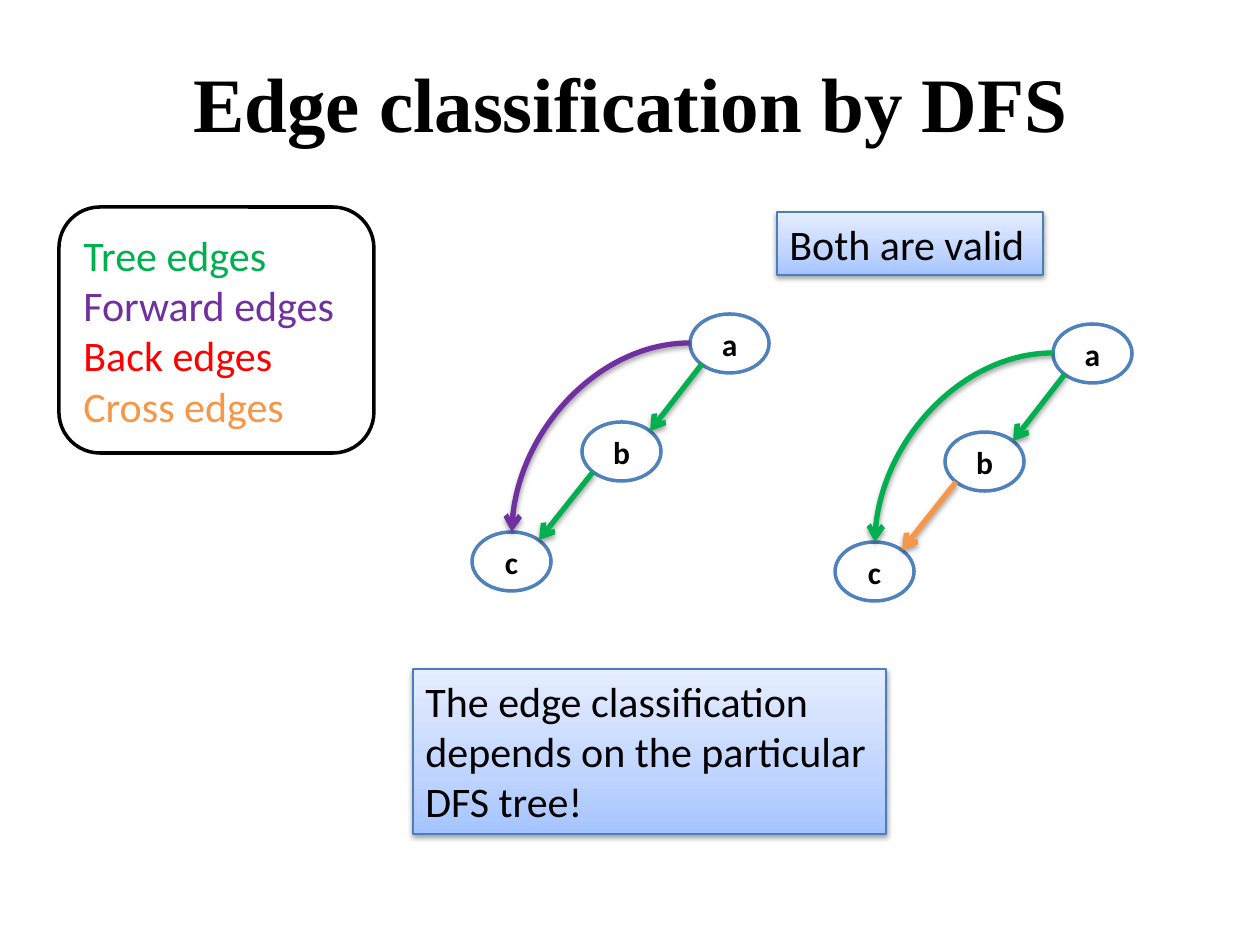
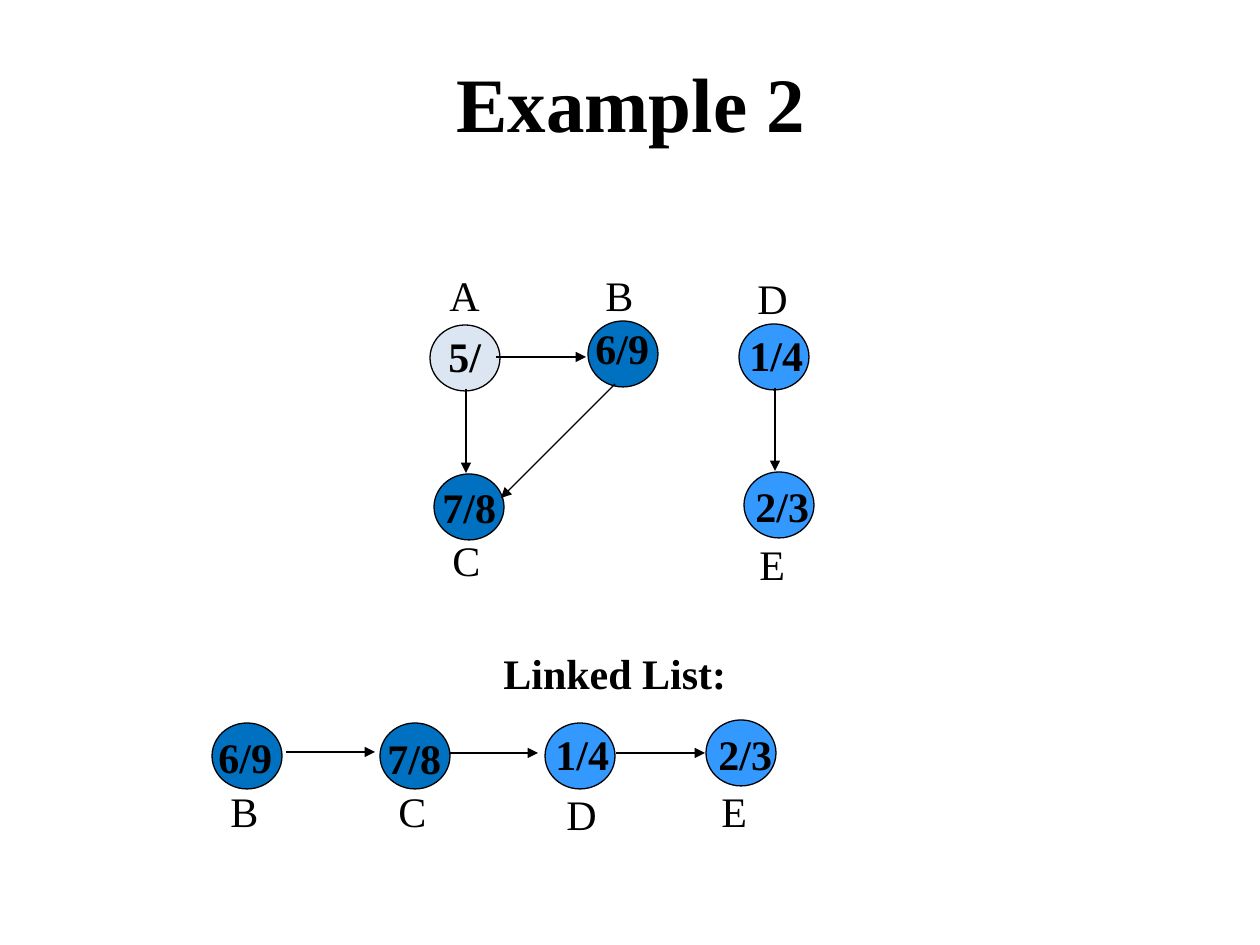
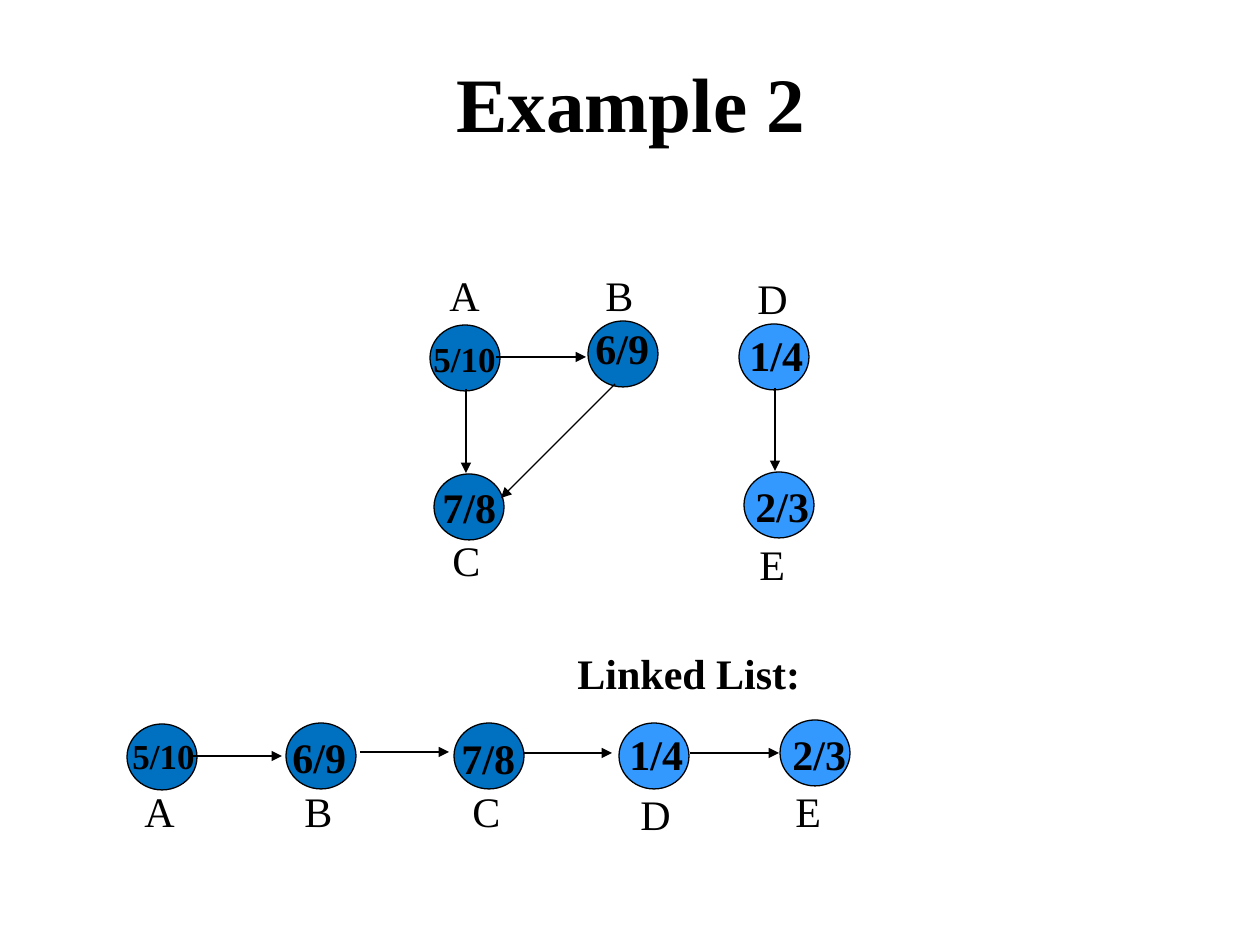
from lxml import etree
from pptx import Presentation
from pptx.dml.color import RGBColor
from pptx.enum.shapes import MSO_CONNECTOR as CONN, MSO_SHAPE as SHAPE
from pptx.enum.text import MSO_ANCHOR as ANCHOR, MSO_AUTO_SIZE as AUTO, PP_ALIGN as ALIGN
from pptx.oxml import parse_xml
from pptx.oxml.ns import qn
from pptx.util import Emu, Pt

PX = 914400 / 126
SERIF, SANS = "Times New Roman", "Calibri"
BLACK, WHITE = "000000", "FFFFFF"
GREEN, PURPLE, RED, ORANGE = "00B050", "7030A0", "FF0000", "F79646"
OUTLINE, NOTE_LINE = "4F81BD", "4B7EBC"
DONE, EARLIER, OPEN = "0070C0", "3399FF", "DCE6F2"
NOTE_STOPS = [(0, "A4C4FF"), (35, "BFD4FF"), (100, "E6EEFF")]
A_NS = 'xmlns:a="http://schemas.openxmlformats.org/drawingml/2006/main"'

NODE_W, NODE_H = 70, 66
LABEL_W = {"A": 55, "B": 53, "C": 53, "D": 55, "E": 50}
COLOURS = {"B": DONE, "C": DONE, "D": EARLIER, "E": EARLIER}
VALUES = {"B": "6/9", "C": "7/8", "D": "1/4", "E": "2/3"}

# name: node position in its box, then value and label offsets from the node
GRAPH_NODES = {
    "A": ((0, 62), (6, -1), (7, -62)),
    "B": ((158, 58), (-5, -5), (5, -58)),
    "C": ((4, 211), (-4, 1), (6, 54)),
    "D": ((309, 61), (-2, -1), (6, -58)),
    "E": ((314, 209), (-1, 2), (3, 60)),
}
GRAPH_EDGES = [((345, 125), (345, 208)), ((36, 126), (36, 210)),
               ((66, 94), (156, 94)), ((185, 121), (71, 235))]
LIST_NODES = {
    "A": ((0, 83), (-7, 4), (5, 55)),
    "B": ((159, 82), (-6, 2), (6, 56)),
    "C": ((327, 82), (-5, 3), (6, 56)),
    "D": ((492, 82), (-2, -1), (9, 59)),
    "E": ((653, 79), (0, 2), (3, 59)),
}
LIST_ARROWS = {"A": (66, 115), "B": (233, 111), "C": (396, 112), "D": (563, 112)}
LIST_ARROW_LENGTH = 89


def px(*lengths):
    return [Emu(round(n * PX)) for n in lengths]


def rgb(value):
    return RGBColor.from_string(value)


def add_effects(sp, shadow):
    effects = etree.SubElement(sp._element.spPr, qn("a:effectLst"))
    if shadow:
        effects.append(parse_xml(
            f'<a:outerShdw {A_NS} blurRad="40000" dist="20000" dir="5400000" rotWithShape="0">'
            f'<a:srgbClr val="{BLACK}"><a:alpha val="38000"/></a:srgbClr></a:outerShdw>'))


def write(sp, lines, size, font, bold=False, align=ALIGN.LEFT, anchor=ANCHOR.TOP, wrap=True):
    """Fill a shape with one paragraph per (text, colour) pair."""
    tf = sp.text_frame
    tf.word_wrap = wrap
    tf.vertical_anchor = anchor
    for i, (text, colour) in enumerate(lines):
        p = tf.add_paragraph() if i else tf.paragraphs[0]
        p.alignment = align
        r = p.add_run()
        r.text = text
        r.font.size, r.font.name, r.font.bold = Pt(size), font, bold
        r.font.color.rgb = rgb(colour)


def add_box(slide, kind, x, y, w, h, fill, line, weight):
    sp = slide.shapes.add_shape(kind, *px(x, y, w, h))
    sp.shadow.inherit = False
    sp.fill.solid()
    sp.fill.fore_color.rgb = rgb(fill)
    sp.line.color.rgb = rgb(line)
    sp.line.width = Pt(weight)
    return sp


def add_arrow(slide, x, y, edge, colour=BLACK, weight=0.75, head="triangle",
              shadow=False, curved=False):
    """Draw an edge ((x1, y1), (x2, y2)) given relative to x, y."""
    (x1, y1), (x2, y2) = edge
    kind = CONN.CURVE if curved else CONN.STRAIGHT
    c = slide.shapes.add_connector(kind, *px(x + x1, y + y1, x + x2, y + y2))
    if curved:
        c._element.spPr.find(qn("a:prstGeom")).set("prst", "curvedConnector2")
    c.line.color.rgb = rgb(colour)
    c.line.width = Pt(weight)
    etree.SubElement(c.line._get_or_add_ln(), qn("a:tailEnd"), type=head)
    add_effects(c, shadow)


def add_text(slide, x, y, w, h, text, size=24, bold=False):
    sp = slide.shapes.add_textbox(*px(x, y, w, h))
    write(sp, [(text, BLACK)], size, SERIF, bold, wrap=False)
    sp.text_frame.auto_size = AUTO.SHAPE_TO_FIT_TEXT


def add_titled_slide(prs, title):
    slide = prs.slides.add_slide(prs.slide_layouts[6])
    sp = slide.shapes.add_textbox(*px(22, 23, 1218, 157))
    write(sp, [(title, BLACK)], 44, SERIF, True, ALIGN.CENTER, ANCHOR.MIDDLE)
    return slide


def add_legend(slide, x, y, w, h):
    sp = add_box(slide, SHAPE.ROUNDED_RECTANGLE, x, y, w, h, WHITE, BLACK, 2)
    lines = [("Tree edges", GREEN), ("Forward edges", PURPLE),
             ("Back edges", RED), ("Cross edges", ORANGE)]
    write(sp, lines, 24, SANS, anchor=ANCHOR.MIDDLE)


def add_note(slide, x, y, w, h, text):
    sp = add_box(slide, SHAPE.RECTANGLE, x, y, w, h, WHITE, NOTE_LINE, 0.75)
    spPr = sp._element.spPr
    stops = "".join(f'<a:gs pos="{pos * 1000}"><a:srgbClr val="{colour}"/></a:gs>'
                    for pos, colour in NOTE_STOPS)
    spPr.replace(spPr.find(qn("a:solidFill")), parse_xml(
        f'<a:gradFill {A_NS} rotWithShape="1"><a:gsLst>{stops}</a:gsLst>'
        '<a:lin ang="16200000" scaled="0"/></a:gradFill>'))
    spPr.remove(spPr.find(qn("a:effectLst")))
    add_effects(sp, True)
    write(sp, [(text, BLACK)], 24, SANS)
    sp.text_frame.auto_size = AUTO.SHAPE_TO_FIT_TEXT


def add_dfs_tree(slide, x, y, long_edge, lower_edge):
    """Draw nodes a, b, c; the colours class the edges a-c and b-c."""
    for name, dx, dy in [("a", 218, 0), ("b", 110, 108), ("c", 0, 218)]:
        sp = add_box(slide, SHAPE.OVAL, x + dx, y + dy, 79, 59, WHITE, OUTLINE, 2)
        write(sp, [(name, BLACK)], 18, SANS, True, ALIGN.CENTER, ANCHOR.MIDDLE)
    for edge, colour, curved in [(((230, 50), (178, 117)), GREEN, False),
                                 (((121, 158), (67, 226)), lower_edge, False),
                                 (((218, 29), (40, 218)), long_edge, True)]:
        add_arrow(slide, x, y, edge, colour, 3, "arrow", True, curved)


def add_node(slide, x, y, name, value, colour, value_at, label_at):
    add_box(slide, SHAPE.OVAL, x, y, NODE_W, NODE_H, colour, BLACK, 0.75)
    w, h, size = {2: (58, 64, 24), 3: (79, 63, 24), 4: (88, 55, 20)}[len(value)]
    add_text(slide, x + value_at[0], y + value_at[1], w, h, value, size, True)
    add_text(slide, x + label_at[0], y + label_at[1], LABEL_W[name], 63, name)


def add_graph(slide, x, y, a_value, a_colour, a_offset):
    values, colours = VALUES | {"A": a_value}, COLOURS | {"A": a_colour}
    for name, ((dx, dy), value_at, label_at) in GRAPH_NODES.items():
        add_node(slide, x + dx, y + dy, name, values[name], colours[name],
                 a_offset if name == "A" else value_at, label_at)
    for edge in GRAPH_EDGES:
        add_arrow(slide, x, y, edge)


def add_linked_list(slide, x, y, names, a_value):
    add_text(slide, x + 438, y, 248, 63, "Linked List:", bold=True)
    values, colours = VALUES | {"A": a_value}, COLOURS | {"A": DONE}
    for name in names:
        (dx, dy), value_at, label_at = LIST_NODES[name]
        add_node(slide, x + dx, y + dy, name, values[name], colours[name], value_at, label_at)
    for name in names[:-1]:
        left, top = LIST_ARROWS[name]
        add_arrow(slide, x, y, ((left, top), (left + LIST_ARROW_LENGTH, top)))


def build_classification(prs):
    slide = add_titled_slide(prs, "Edge classification by DFS")
    add_legend(slide, 59, 207, 315, 246)
    add_dfs_tree(slide, 472, 314, PURPLE, GREEN)
    add_dfs_tree(slide, 835, 324, GREEN, ORANGE)
    add_note(slide, 777, 212, 266, 63, "Both are valid")
    add_note(slide, 413, 669, 473, 165,
             "The edge classification depends on the particular DFS tree!")


def build_example(prs, a_value, a_colour, a_offset, list_x, names):
    slide = add_titled_slide(prs, "Example 2")
    add_graph(slide, 430, 263, a_value, a_colour, a_offset)
    add_linked_list(slide, list_x, 641, names, a_value)


def main():
    prs = Presentation()
    prs.slide_width, prs.slide_height = px(1260, 945)
    build_classification(prs)
    build_example(prs, "5/", OPEN, (6, -1), 53, "BCDE")
    build_example(prs, "5/10", DONE, (-9, 6), 127, "ABCDE")
    prs.save("out.pptx")


if __name__ == "__main__":
    main()
